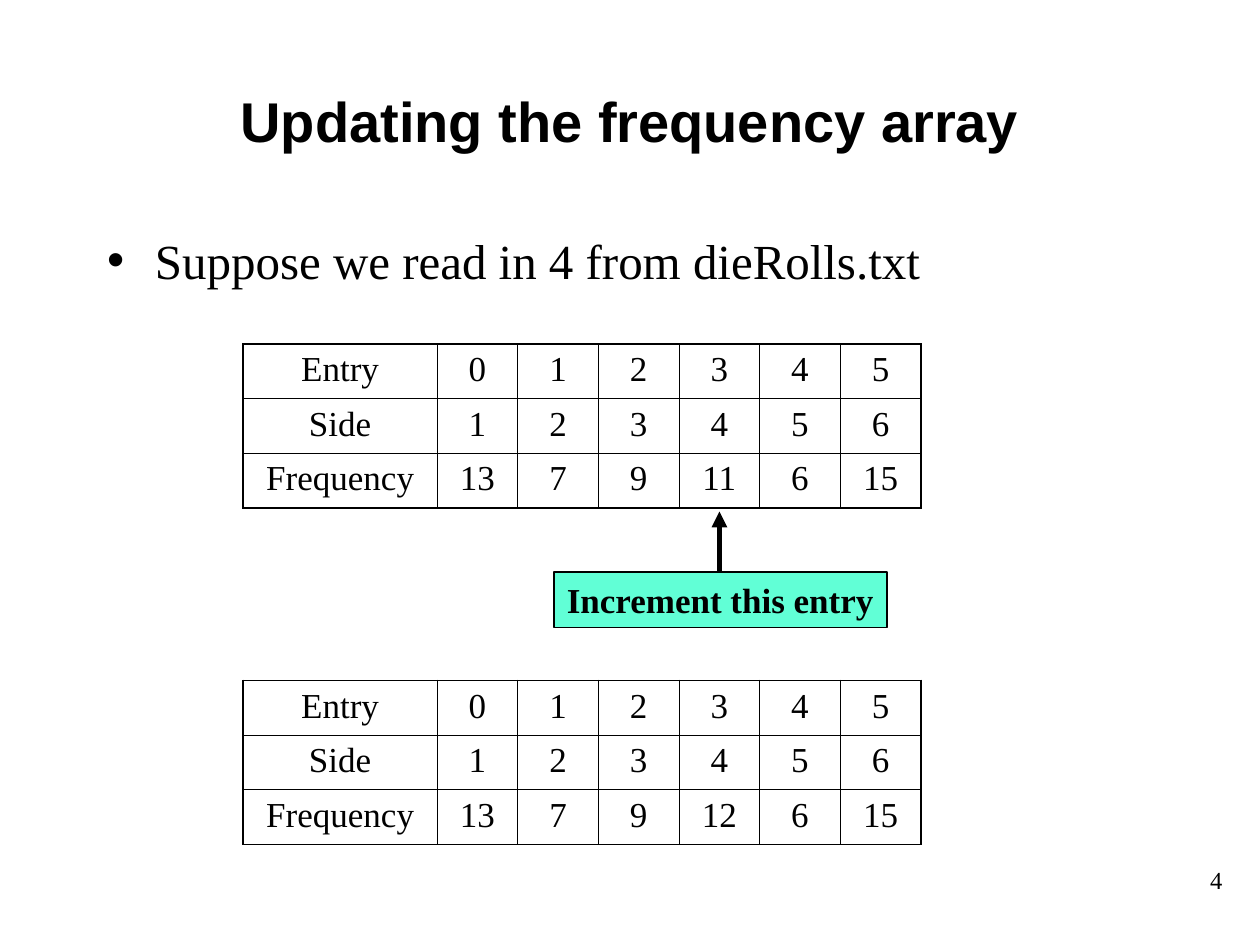
from lxml import etree
from pptx import Presentation
from pptx.dml.color import RGBColor
from pptx.enum.shapes import MSO_CONNECTOR, MSO_SHAPE
from pptx.enum.text import MSO_ANCHOR, MSO_AUTO_SIZE, PP_ALIGN
from pptx.oxml.ns import qn
from pptx.util import Inches, Pt

BLACK = RGBColor(0x00, 0x00, 0x00)
WHITE = RGBColor(0xFF, 0xFF, 0xFF)
MINT = RGBColor(0x61, 0xFF, 0xD6)
LEFT, CENTER, RIGHT = PP_ALIGN.LEFT, PP_ALIGN.CENTER, PP_ALIGN.RIGHT
TOP, MIDDLE = MSO_ANCHOR.TOP, MSO_ANCHOR.MIDDLE
NO_FIT = MSO_AUTO_SIZE.NONE
RECT, STRAIGHT = MSO_SHAPE.RECTANGLE, MSO_CONNECTOR.STRAIGHT
SERIF, SANS = "Times New Roman", "Arial"
THIN, THICK = Pt(0.45), Pt(1.08)


def write(tf, text, size, align, before=0, name=SERIF, bold=False):
    p = tf.paragraphs[0]
    for key, value in {"alignment": align, "space_before": Pt(before)}.items():
        setattr(p, key, value)
    r = p.add_run()
    r.text = text
    for key, value in {"size": Pt(size), "name": name, "bold": bold}.items():
        setattr(r.font, key, value)
    r.font.color.rgb = BLACK
    return p


def set_borders(cell, widths):
    tc_pr = cell._tc.get_or_add_tcPr()
    for i, (side, width) in enumerate(widths.items()):
        ln = etree.Element(qn(f"a:ln{side}"), w=str(width))
        fill = etree.SubElement(ln, qn("a:solidFill"))
        etree.SubElement(fill, qn("a:srgbClr"), val=str(BLACK))
        tc_pr.insert(i, ln)


prs = Presentation()
prs.slide_width, prs.slide_height = Inches(10), Inches(7.5)
s = prs.slides.add_slide(prs.slide_layouts[1])
s.background.fill.solid()
s.background.fill.fore_color.rgb = WHITE

title, body = s.placeholders
number = s.shapes.add_textbox(Inches(8.39), Inches(6.82), Inches(1.41), Inches(0.5))
for sp, top, height, anchor in ((title, 0.44, 1.02, MIDDLE), (body, 1.78, 4.89, TOP)):
    frame = {"left": 0.75, "top": top, "width": 8.5, "height": height}
    for key, value in frame.items():
        setattr(sp, key, Inches(value))
    sp.text_frame.vertical_anchor = anchor
    sp.text_frame.auto_size = NO_FIT
number.text_frame.word_wrap = True

write(title.text_frame, "Updating the frequency array", 32, CENTER, name=SANS, bold=True)
p = write(body.text_frame, "Suppose we read in 4 from dieRolls.txt", 28, LEFT, before=7)
p_pr = p._p.get_or_add_pPr()
p_pr.set("marL", str(Inches(0.38)))
p_pr.set("indent", str(-Inches(0.38)))
etree.SubElement(p_pr, qn("a:buChar"), char="•")
write(number.text_frame, "4", 14, RIGHT)

col_widths = [1.54] + [0.64] * 6
for top, fours in ((2.73, 11), (5.4, 12)):
    rows = [
        ["Entry", *range(6)],
        ["Side", *range(1, 7)],
        ["Frequency", 13, 7, 9, fours, 6, 15],
    ]
    table = s.shapes.add_table(
        3, 7, Inches(1.93), Inches(top), Inches(5.39), Inches(1.3)
    ).table
    table.first_row = table.horz_banding = False
    for column, width in zip(table.columns, col_widths):
        column.width = Inches(width)
    for i, values in enumerate(rows):
        for j, value in enumerate(values):
            cell = table.cell(i, j)
            cell.fill.background()
            write(cell.text_frame, str(value), 20, CENTER, before=5)
            set_borders(cell, {
                "L": THICK if j == 0 else THIN,
                "R": THICK if j == 6 else THIN,
                "T": THICK if i == 0 else THIN,
                "B": THICK if i == 2 else THIN,
            })

arrow = s.shapes.add_connector(
    STRAIGHT, Inches(5.71), Inches(4.06), Inches(5.71), Inches(4.54)
)
arrow.line.color.rgb = BLACK
arrow.line.width = Pt(3)
etree.SubElement(arrow.line._get_or_add_ln(), qn("a:headEnd"), type="triangle")
etree.SubElement(arrow._element.spPr, qn("a:effectLst"))

label = s.shapes.add_shape(RECT, Inches(4.4), Inches(4.54), Inches(2.64), Inches(0.44))
label.shadow.inherit = False
label.fill.solid()
label.fill.fore_color.rgb = MINT
label.line.color.rgb = BLACK
label.line.width = Pt(1)
tf = label.text_frame
tf.word_wrap = False
tf.auto_size = MSO_AUTO_SIZE.SHAPE_TO_FIT_TEXT
tf.vertical_anchor = TOP
write(tf, "Increment this entry", 20, LEFT, bold=True)

prs.save("out.pptx")
